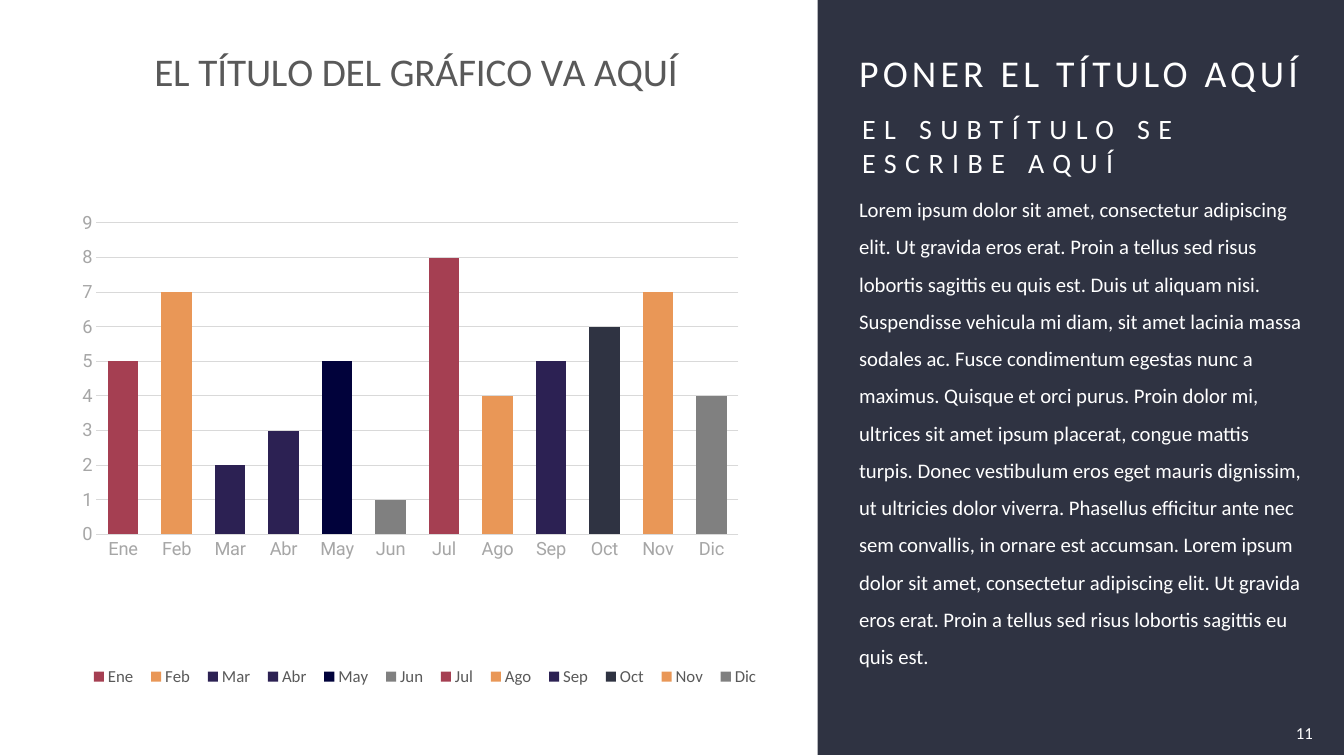
from lxml import etree
from pptx import Presentation
from pptx.chart.data import CategoryChartData
from pptx.dml.color import RGBColor
from pptx.enum.chart import XL_CHART_TYPE, XL_LEGEND_POSITION, XL_TICK_MARK
from pptx.enum.shapes import MSO_SHAPE
from pptx.enum.text import MSO_ANCHOR, PP_ALIGN
from pptx.oxml.ns import qn
from pptx.util import Inches, Pt

COLUMN = XL_CHART_TYPE.COLUMN_CLUSTERED
LEGEND_BOTTOM = XL_LEGEND_POSITION.BOTTOM
NO_TICK = XL_TICK_MARK.NONE
RECTANGLE = MSO_SHAPE.RECTANGLE
TOP, MIDDLE = MSO_ANCHOR.TOP, MSO_ANCHOR.MIDDLE
LEFT, RIGHT = PP_ALIGN.LEFT, PP_ALIGN.RIGHT

THEME = {
    "font": "Calibri", "chart_font": "Roboto",
    "panel": RGBColor.from_string("2F3342"),
    "white": RGBColor.from_string("FFFFFF"),
    "chart_text": RGBColor.from_string("595959"),
    "axis_text": RGBColor.from_string("A6A6A6"),
    "grid": RGBColor.from_string("D9D9D9"),
    "red": RGBColor.from_string("A53F52"),
    "orange": RGBColor.from_string("E99757"),
    "purple": RGBColor.from_string("2C2153"),
    "navy": RGBColor.from_string("01023B"),
    "gray": RGBColor.from_string("808080"),
    "chart_title_size": 28, "title_size": 27, "subtitle_size": 20,
    "chart_size": 15, "body_size": 14.8, "axis_size": 13, "small_size": 12,
}

MONTHS = [
    ("Ene", 5, "red"), ("Feb", 7, "orange"), ("Mar", 2, "purple"),
    ("Abr", 3, "purple"), ("May", 5, "navy"), ("Jun", 1, "gray"),
    ("Jul", 8, "red"), ("Ago", 4, "orange"), ("Sep", 5, "purple"),
    ("Oct", 6, "panel"), ("Nov", 7, "orange"), ("Dic", 4, "gray"),
]

BODY = (
    "Lorem ipsum dolor sit amet, consectetur adipiscing elit. Ut gravida eros erat. "
    "Proin a tellus sed risus lobortis sagittis eu quis est. Duis ut aliquam nisi. "
    "Suspendisse vehicula mi diam, sit amet lacinia massa sodales ac. Fusce condimentum "
    "egestas nunc a maximus. Quisque et orci purus. Proin dolor mi, ultrices sit amet "
    "ipsum placerat, congue mattis turpis. Donec vestibulum eros eget mauris dignissim, "
    "ut ultricies dolor viverra. Phasellus efficitur ante nec sem convallis, in ornare "
    "est accumsan. Lorem ipsum dolor sit amet, consectetur adipiscing elit. Ut gravida "
    "eros erat. Proin a tellus sed risus lobortis sagittis eu quis est."
)


def add_text(box, text, size, anchor=MIDDLE, align=LEFT, side_inset=0,
             tracking=0, before=0, line_spacing=1.0):
    shape = slide.shapes.add_textbox(*map(Inches, box))
    frame = shape.text_frame
    frame.text = text
    frame.word_wrap = True
    frame.vertical_anchor = anchor
    frame.margin_left = frame.margin_right = Inches(side_inset)
    frame.margin_top = frame.margin_bottom = Inches(0.05)
    paragraph = frame.paragraphs[0]
    paragraph.alignment = align
    paragraph.space_before = Pt(before)
    paragraph.line_spacing = line_spacing
    run = paragraph.runs[0]
    run.font.name = THEME["font"]
    run.font.size = Pt(THEME[size])
    run.font.color.rgb = THEME["white"]
    if tracking:
        run.font._element.set("spc", str(tracking * 100))


def place(element, index, target=None, **fractions):
    """Give a chart part a fixed place, as fractions of the chart area."""
    for old in element.findall(qn("c:layout")):
        element.remove(old)
    layout = etree.Element(qn("c:layout"))
    manual = etree.SubElement(layout, qn("c:manualLayout"))
    settings = {"layoutTarget": target} if target else {}
    settings.update(xMode="edge", yMode="edge", **fractions)
    for name, value in settings.items():
        etree.SubElement(manual, qn(f"c:{name}")).set("val", str(value))
    element.insert(index, layout)


presentation = Presentation()
presentation.slide_width = Inches(13.33)
presentation.slide_height = Inches(7.5)
slide = presentation.slides.add_slide(presentation.slide_layouts[6])

# Dark panel
panel = slide.shapes.add_shape(RECTANGLE, Inches(8.11), 0, Inches(5.22), Inches(7.49))
panel.shadow.inherit = False
panel.fill.solid()
panel.fill.fore_color.rgb = THEME["panel"]
panel.line.fill.background()

# Monthly column chart
chart_data = CategoryChartData()
chart_data.categories = [month for month, _, _ in MONTHS]
chart_data.add_series("Series 1", [value for _, value, _ in MONTHS])
chart = slide.shapes.add_chart(COLUMN, 0, 0, Inches(8.11), Inches(7.5), chart_data).chart
chart.font.name = THEME["chart_font"]
chart.font.size = Pt(THEME["chart_size"])

plot = chart.plots[0]
plot.gap_width = 75
plot.overlap = -25
plot.vary_by_categories = True
for index, (_, _, color) in enumerate(MONTHS):
    fill = plot.series[0].points[index].format.fill
    fill.solid()
    fill.fore_color.rgb = THEME[color]

# Axes and gridlines
for axis in (chart.category_axis, chart.value_axis):
    axis.major_tick_mark = axis.minor_tick_mark = NO_TICK
    axis.tick_labels.font.name = THEME["chart_font"]
    axis.tick_labels.font.size = Pt(THEME["axis_size"])
    axis.tick_labels.font.color.rgb = THEME["axis_text"]
chart.value_axis.minimum_scale = 0
chart.value_axis.maximum_scale = 9
chart.value_axis.major_unit = 1
chart.value_axis.has_major_gridlines = True
chart.value_axis.format.line.fill.background()
for line in (chart.category_axis.format.line, chart.value_axis.major_gridlines.format.line):
    line.color.rgb = THEME["grid"]
    line.width = Pt(0.75)

# Chart title and legend
chart.has_title = True
title_frame = chart.chart_title.text_frame
title_frame.text = "EL TÍTULO DEL GRÁFICO VA AQUÍ"
title_font = title_frame.paragraphs[0].runs[0].font
title_font.size = Pt(THEME["chart_title_size"])
title_font.bold = False
chart.has_legend = True
chart.legend.position = LEGEND_BOTTOM
chart.legend.include_in_layout = False
chart.legend.font.size = Pt(THEME["small_size"])
for font in (title_font, chart.legend.font):
    font.name = THEME["font"]
    font.color.rgb = THEME["chart_text"]

place(chart.chart_title._element, 1, x=0.18, y=0.05)
place(chart.legend._element, 1, x=0.1, y=0.87, w=0.84, h=0.05)
place(plot._element.getparent(), 0, "inner", x=0.118, y=0.295, w=0.785, h=0.412)

# Panel text
add_text((8.52, 0.4, 4.39, 0.63), "PONER EL TÍTULO AQUÍ", "title_size", tracking=3)
add_text((8.55, 1.1, 4.37, 0.68), "EL SUBTÍTULO SE ESCRIBE AQUÍ", "subtitle_size",
         tracking=6, before=10)
add_text((8.52, 1.78, 4.39, 5.07), BODY, "body_size", anchor=TOP, before=10,
         line_spacing=1.5)

# Page number
add_text((12.63, 7.07, 0.49, 0.4), "11", "small_size", align=RIGHT, side_inset=0.1)

presentation.save("out.pptx")
